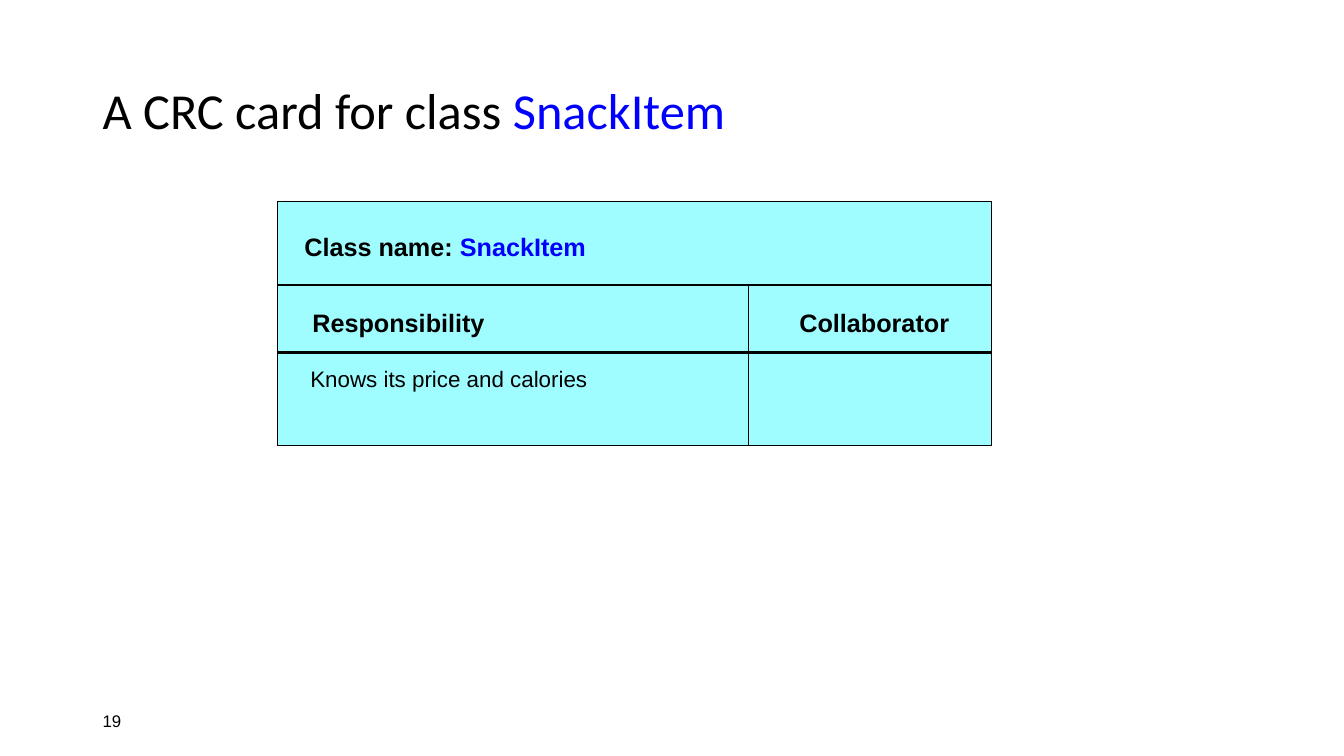
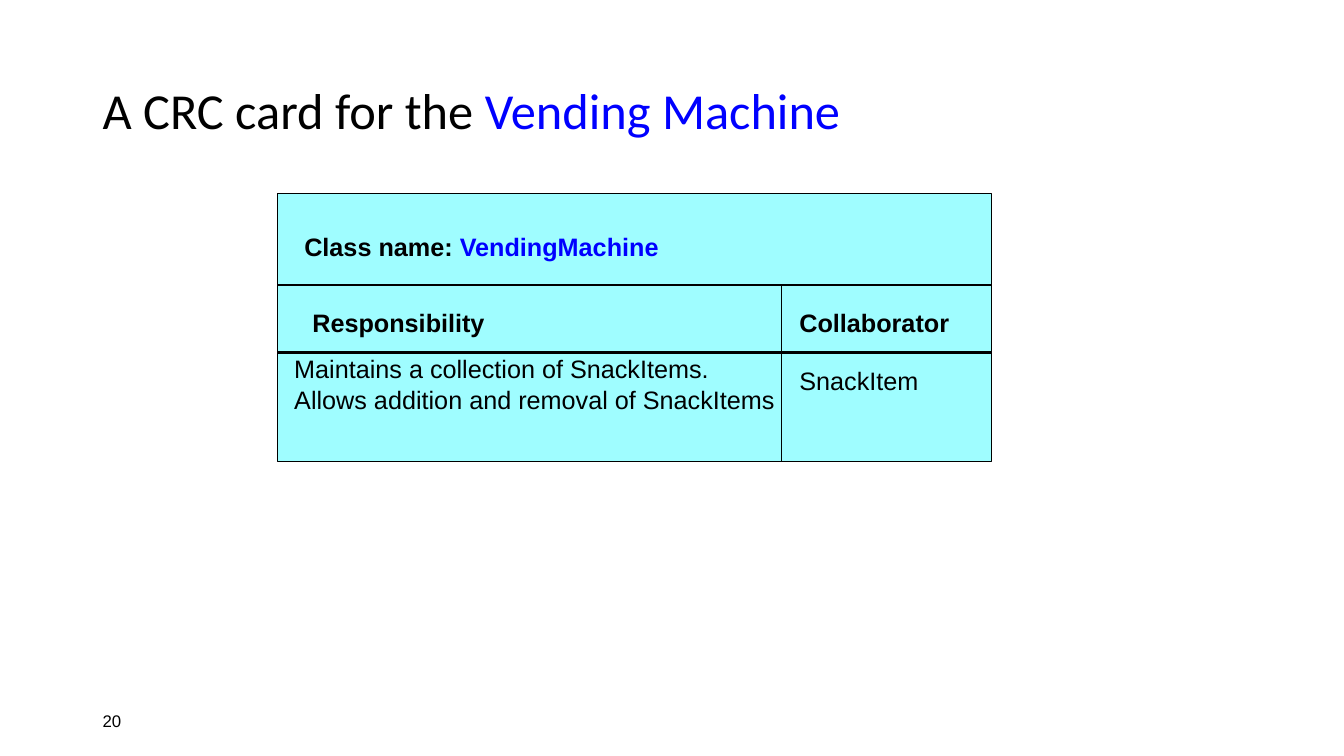
import pptx
import pptx.util
import pptx.dml.color
import pptx.enum.shapes
import pptx.enum.text
import lxml.etree

Inches, Pt = pptx.util.Inches, pptx.util.Pt
RGB = pptx.dml.color.RGBColor.from_string
ANCHOR = pptx.enum.text.MSO_ANCHOR

# Theme: colours, type styles and line weights
THEME = {
    "ink": RGB("000000"),
    "accent": RGB("0000FF"),
    "card": RGB("9FFDFF"),
    "title": {"name": "Calibri", "size": Pt(36)},
    "label": {"name": "Arial", "size": Pt(18), "bold": True},
    "body": {"name": "Arial", "size": Pt(18)},
    "small_body": {"name": "Arial", "size": Pt(16)},
    "footer": {"name": "Arial", "size": Pt(12)},
    "thin": Pt(0.75), "medium": Pt(1.5), "thick": Pt(2.25),
}

# Grid shared by both cards, in inches
MARGIN = 0.92
CARD_LEFT, CARD_RIGHT = 2.75, 9.83
HEADING_TOP, BODY_TOP = 2.83, 3.5
COLLABORATOR_LEFT = 7.83

# Each entry text is (box, style, lines)
CARDS = [
    {"number": "19", "title": ("A CRC card for class ", "SnackItem"),
     "class": "SnackItem", "class_width": 4.42,
     "top": 2, "bottom": 4.42, "divider": 7.42,
     "entries": [((2.98, 3.57, 2.95, 0.37), "small_body",
                  ["Knows its price and calories"])]},
    {"number": "20", "title": ("A CRC card for the ", "Vending Machine"),
     "class": "VendingMachine", "class_width": 3.73,
     "top": 1.92, "bottom": 4.58, "divider": 7.75,
     "entries": [((2.82, 3.46, 4.97, 0.7), "body",
                  ["Maintains a collection of SnackItems.",
                   "Allows addition and removal of SnackItems"]),
                 ((COLLABORATOR_LEFT, 3.58, 1.38, 0.4), "body",
                  ["SnackItem"])]},
]


def add_text(slide, box, style, lines, anchor=ANCHOR.TOP, wrap=False, spacing=None):
    """Each line is a tuple of runs; the second run takes the accent colour."""
    frame = slide.shapes.add_textbox(*map(Inches, box)).text_frame
    frame.word_wrap = wrap
    frame.vertical_anchor = anchor
    for index, line in enumerate(lines):
        paragraph = frame.paragraphs[0] if index == 0 else frame.add_paragraph()
        paragraph.line_spacing = spacing
        for words, colour in zip(line, ("ink", "accent")):
            run = paragraph.add_run()
            run.text = words
            run.font.color.rgb = THEME[colour]
            for attribute, value in THEME[style].items():
                setattr(run.font, attribute, value)


def add_rule(slide, ends, weight):
    rule = slide.shapes.add_connector(
        pptx.enum.shapes.MSO_CONNECTOR.STRAIGHT, *map(Inches, ends))
    rule.line.color.rgb = THEME["ink"]
    rule.line.width = THEME[weight]
    lxml.etree.SubElement(rule._element.spPr, pptx.oxml.ns.qn("a:effectLst"))


deck = pptx.Presentation()
deck.slide_width, deck.slide_height = Inches(13.33), Inches(7.5)

for card in CARDS:
    slide = deck.slides.add_slide(deck.slide_layouts[6])

    # Slide number and title
    add_text(slide, (MARGIN, 6.95, 3, 0.4), "footer", [(card["number"],)],
             anchor=ANCHOR.MIDDLE, wrap=True)
    add_text(slide, (MARGIN, 0.4, 11.5, 1.45), "title", [card["title"]],
             anchor=ANCHOR.MIDDLE, wrap=True, spacing=0.9)

    # Card background
    top, bottom, divider = card["top"], card["bottom"], card["divider"]
    background = slide.shapes.add_shape(
        pptx.enum.shapes.MSO_SHAPE.RECTANGLE,
        *map(Inches, (CARD_LEFT, top, CARD_RIGHT - CARD_LEFT, bottom - top)))
    background.shadow.inherit = False
    background.fill.solid()
    background.fill.fore_color.rgb = THEME["card"]
    background.line.color.rgb = THEME["ink"]
    background.line.width = THEME["thin"]

    # Rules between the card's rows and columns
    for height, weight in ((HEADING_TOP, "medium"), (BODY_TOP, "thick")):
        add_rule(slide, (CARD_LEFT, height, CARD_RIGHT, height), weight)
    add_rule(slide, (divider, HEADING_TOP, divider, bottom), "thin")

    # Class name and column headings
    add_text(slide, (2.92, 2.25, card["class_width"], 0.4), "label",
             [("Class name: ", card["class"])], wrap=True)
    for heading, left, width in (("Responsibility", 3, 1.91),
                                 ("Collaborator", COLLABORATOR_LEFT, 1.69)):
        add_text(slide, (left, 3, width, 0.4), "label", [(heading,)])

    # Card entries
    for box, style, lines in card["entries"]:
        add_text(slide, box, style, [(line,) for line in lines])

deck.save("out.pptx")
